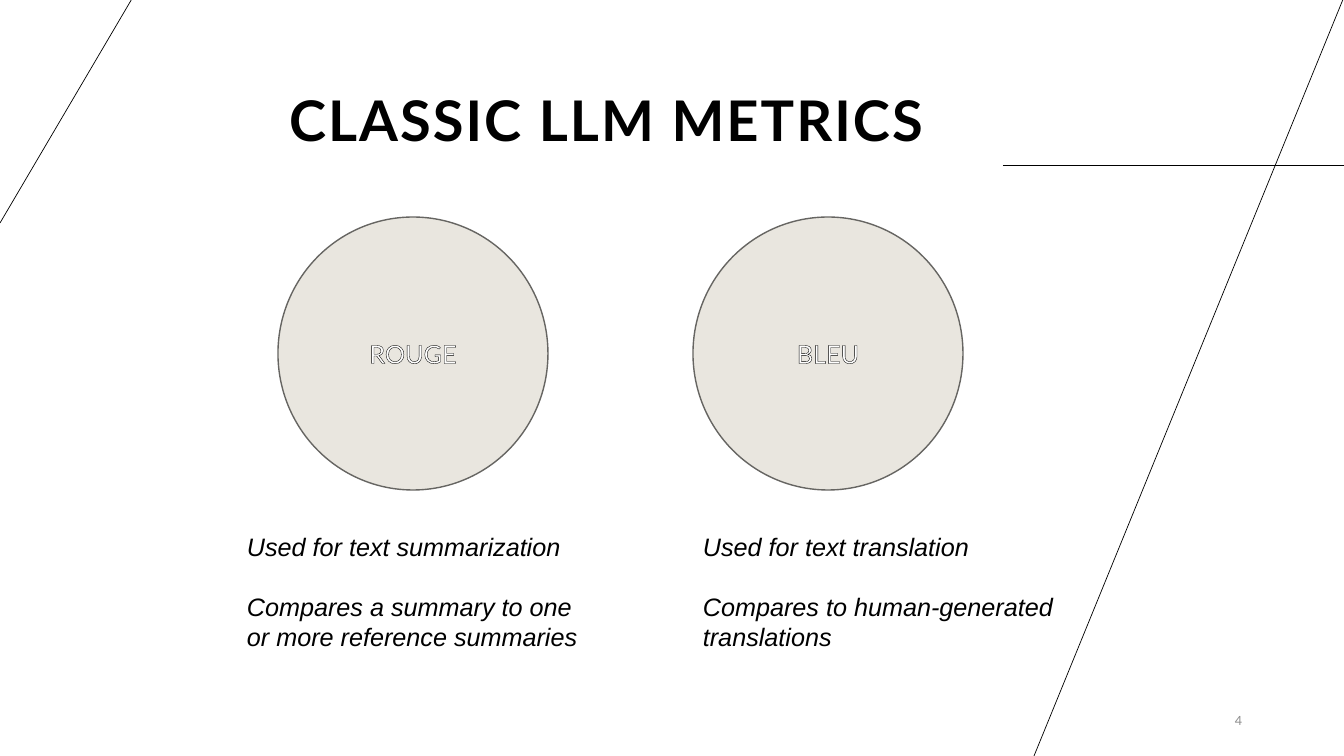
"""Build the slide that introduces the classic LLM metrics."""
from dataclasses import dataclass

from lxml import etree
from pptx import Presentation
from pptx.dml.color import RGBColor
from pptx.enum.shapes import MSO_CONNECTOR, MSO_SHAPE
from pptx.enum.text import MSO_ANCHOR, MSO_AUTO_SIZE, PP_ALIGN
from pptx.oxml.ns import qn
from pptx.util import Pt

LEFT, CENTER, RIGHT = PP_ALIGN.LEFT, PP_ALIGN.CENTER, PP_ALIGN.RIGHT
MIDDLE, BOTTOM = MSO_ANCHOR.MIDDLE, MSO_ANCHOR.BOTTOM
STRAIGHT, OVAL = MSO_CONNECTOR.STRAIGHT, MSO_SHAPE.OVAL
NO_FIT, GROW = MSO_AUTO_SIZE.NONE, MSO_AUTO_SIZE.SHAPE_TO_FIT_TEXT

TITLE = "CLASSIC LLM METRICS"
TITLE_BOX = (99, -75, 1015, 234)
PAGE_NUMBER = "4"
PAGE_BOX = (1143, 701, 109, 40)
METRICS = [
    {
        "name": "ROUGE",
        "circle": (278, 217, 270, 273),
        "description_box": (237, 526, 354, 163),
        "description": ["Used for text summarization", "Compares a summary to one",
                        "or more reference summaries"],
    },
    {
        "name": "BLEU",
        "circle": (693, 217, 270, 273),
        "description_box": (693, 526, 374, 132),
        "description": ["Used for text translation", "Compares to human-generated",
                        "translations"],
    },
]
DECOR_LINES = [
    (1003, 165, 1344, 165),
    (1344, -3, 1034, 756),
    (0, 223, 133, -3),
]


@dataclass(frozen=True)
class Theme:
    heading_font: str = "Lato"
    body_font: str = "Arial"
    black: str = "000000"
    white: str = "FFFFFF"
    gray: str = "8C8C8C"
    circle_fill: str = "E9E6DF"
    circle_line: str = "666562"
    title_size: int = 40
    text_size: int = 18
    page_size: int = 9
    paragraph_gap: float = 21.5


THEME = Theme()
EMU_PER_PX = 914400 / 100.8


def emu(*lengths):
    return [round(length * EMU_PER_PX) for length in lengths]


def color(value):
    return RGBColor.from_string(value)


def format_text(text_frame, size, font, fill, align=LEFT, bold=False, italic=False):
    for paragraph in text_frame.paragraphs:
        paragraph.alignment = align
        for run in paragraph.runs:
            run.font.size = Pt(size)
            run.font.name = font
            run.font.color.rgb = color(fill)
            run.font.bold = bold
            run.font.italic = italic


def add_decor_line(slide, ends):
    line = slide.shapes.add_connector(STRAIGHT, *emu(*ends))
    line.line.color.rgb = color(THEME.black)
    line.line.width = Pt(0.5)
    etree.SubElement(line._element.spPr, qn("a:effectLst"))


def add_title(slide):
    title = slide.shapes.title
    title.left, title.top, title.width, title.height = emu(*TITLE_BOX)
    frame = title.text_frame
    frame.text = TITLE
    frame.word_wrap = True
    frame.auto_size = NO_FIT
    frame.vertical_anchor = BOTTOM
    format_text(frame, THEME.title_size, THEME.heading_font, THEME.black, CENTER, bold=True)
    paragraph = frame.paragraphs[0]
    paragraph.line_spacing = 0.9
    paragraph.runs[0].font._element.set("spc", "150")


def add_page_number(slide):
    frame = slide.shapes.add_textbox(*emu(*PAGE_BOX)).text_frame
    frame.text = PAGE_NUMBER
    frame.word_wrap = True
    frame.vertical_anchor = MIDDLE
    format_text(frame, THEME.page_size, THEME.heading_font, THEME.gray, RIGHT)


def outline_text(run):
    outline = etree.Element(qn("a:ln"), w=str(int(Pt(0.75))))
    fill = etree.SubElement(outline, qn("a:solidFill"))
    etree.SubElement(fill, qn("a:srgbClr"), val=THEME.black)
    run._r.get_or_add_rPr().insert(0, outline)


def add_circle(slide, metric):
    circle = slide.shapes.add_shape(OVAL, *emu(*metric["circle"]))
    circle.shadow.inherit = False
    circle.fill.solid()
    circle.fill.fore_color.rgb = color(THEME.circle_fill)
    circle.line.color.rgb = color(THEME.circle_line)
    circle.line.width = Pt(1)
    frame = circle.text_frame
    frame.text = metric["name"]
    frame.vertical_anchor = MIDDLE
    format_text(frame, THEME.text_size, THEME.heading_font, THEME.white, CENTER)
    outline_text(frame.paragraphs[0].runs[0])


def add_description(slide, metric):
    frame = slide.shapes.add_textbox(*emu(*metric["description_box"])).text_frame
    frame.text = "\n".join(metric["description"])
    frame.word_wrap = False
    frame.auto_size = GROW
    format_text(frame, THEME.text_size, THEME.body_font, THEME.black, italic=True)
    frame.paragraphs[1].space_before = Pt(THEME.paragraph_gap)


def main():
    presentation = Presentation()
    presentation.slide_width, presentation.slide_height = emu(1344, 756)
    slide = presentation.slides.add_slide(presentation.slide_layouts[5])
    for ends in DECOR_LINES:
        add_decor_line(slide, ends)
    add_title(slide)
    add_page_number(slide)
    for metric in METRICS:
        add_circle(slide, metric)
        add_description(slide, metric)
    presentation.save("out.pptx")


if __name__ == "__main__":
    main()
